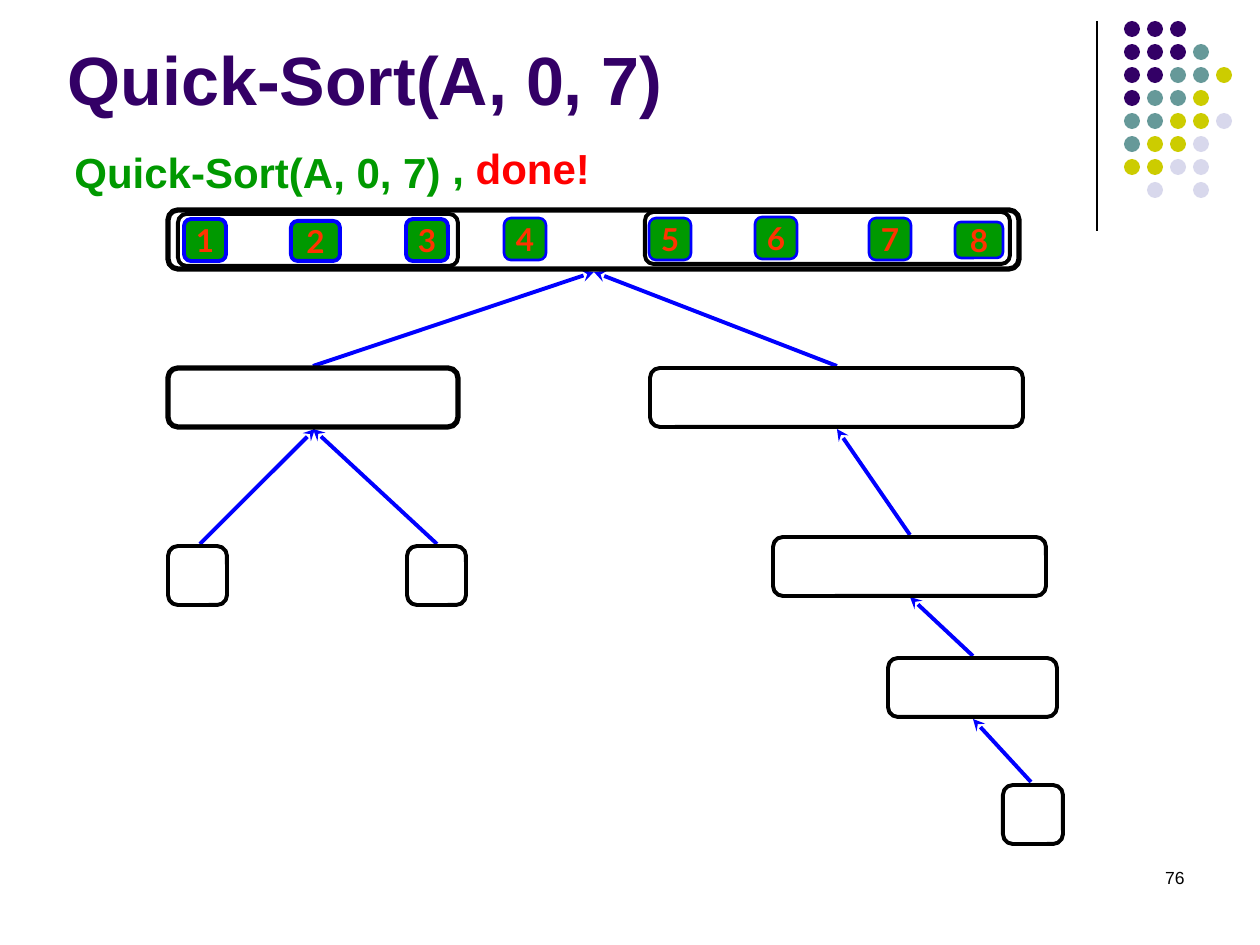
from lxml.etree import SubElement
from pptx import Presentation
from pptx.dml.color import RGBColor
from pptx.enum.shapes import MSO_CONNECTOR, MSO_SHAPE
from pptx.enum.text import MSO_ANCHOR, MSO_AUTO_SIZE, PP_ALIGN
from pptx.oxml.ns import qn
from pptx.util import Emu, Pt

PX = 914400 / 126  # EMU per pixel
COLORS = {
    "purple": "330066", "teal": "669999", "olive": "CCCC00", "lilac": "D8D8EC",
    "black": "000000", "white": "FFFFFF", "blue": "0000FF",
    "green": "009900", "red": "FF0000", "orange": "FF3300",
}
DOT_COLORS = {"P": "purple", "T": "teal", "Y": "olive", "L": "lilac"}
DOT_ROWS = ["PPP", "PPPT", "PPTTY", "PTTY", "TTYYL", "TYYL", "YYLL", " L L"]
ARRAY_TOP, BOX_HEIGHT = 210, 59

# Tree nodes: left, top, width, line width
NODES = [
    (168, ARRAY_TOP, 851, 3),
    (168, 368, 290, 3),
    (650, 368, 373, 2.25),
    (168, 546, 59, 2.25),
    (407, 546, 59, 2.25),
    (773, 537, 273, 2.25),
    (888, 658, 169, 2.25),
    (1003, 785, 60, 2.25),
]
# Sorted halves inside the array: left, top, width, height
HALVES = [(178, 214, 280, 52), (645, 212, 365, 52)]
# Arrows from child to parent: x, y, x, y
ARROWS = [
    (200, 544, 315, 429), (437, 544, 313, 429),
    (313, 366, 594, 272), (837, 366, 594, 272),
    (910, 535, 837, 429), (973, 656, 910, 597), (1031, 782, 973, 719),
]
# Sorted keys: left, top, width, height, line width
KEYS = [
    (184, 219, 42, 42, 2.25), (291, 221, 49, 40, 2.25), (406, 219, 42, 42, 2.25),
    (504, 218, 42, 42, 1.5), (649, 218, 42, 42, 1.5), (755, 217, 42, 42, 1.5),
    (869, 218, 42, 42, 1.5), (955, 222, 48, 36, 1.5),
]


def px(*lengths):
    return [Emu(round(length * PX)) for length in lengths]


def color(name):
    return RGBColor.from_string(COLORS[name])


def write_text(shape, runs, size, font="Arial", bold=True, align=PP_ALIGN.LEFT,
               anchor=MSO_ANCHOR.TOP, wrap=True):
    """Fill a shape with one paragraph of (text, color) runs."""
    frame = shape.text_frame
    frame.auto_size = MSO_AUTO_SIZE.NONE
    frame.word_wrap = wrap
    frame.vertical_anchor = anchor
    paragraph = frame.paragraphs[0]
    paragraph.alignment = align
    for text, color_name in runs:
        run = paragraph.add_run()
        run.text = text
        run.font.name, run.font.size, run.font.bold = font, Pt(size), bold
        run.font.color.rgb = color(color_name)


def add_text(slide, box, runs, **formats):
    shape = slide.shapes.add_textbox(*px(*box))
    write_text(shape, runs, **formats)
    return shape


def add_box(slide, box, kind=MSO_SHAPE.ROUNDED_RECTANGLE, fill=None, line=None, width=2.25):
    shape = slide.shapes.add_shape(kind, *px(*box))
    shape.shadow.inherit = False
    if fill:
        shape.fill.solid()
        shape.fill.fore_color.rgb = color(fill)
    else:
        shape.fill.background()
    if line:
        shape.line.color.rgb = color(line)
        shape.line.width = Pt(width)
    else:
        shape.line.fill.background()
    return shape


def add_line(slide, ends, line, width, arrow=False):
    connector = slide.shapes.add_connector(MSO_CONNECTOR.STRAIGHT, *px(*ends))
    connector.line.color.rgb = color(line)
    connector.line.width = Pt(width)
    properties = connector.line._get_or_add_ln()
    if arrow:
        SubElement(properties, qn("a:tailEnd"), type="stealth", w="med", len="med")
    SubElement(connector._element.spPr, qn("a:effectLst"))


def add_decoration(slide):
    add_line(slide, (1097, 21, 1097, 231), "black", 0.75)
    for row, letters in enumerate(DOT_ROWS):
        for column, letter in enumerate(letters):
            if letter in DOT_COLORS:
                add_box(slide, (1124 + 23 * column, 21 + 23 * row, 16, 16),
                        MSO_SHAPE.OVAL, fill=DOT_COLORS[letter])


def add_headings(slide):
    title = slide.shapes.title
    title.left, title.top, title.width, title.height = px(55, 44, 1040, 81)
    write_text(title, [("Quick-Sort(A, 0, 7)", "purple")], size=39,
               anchor=MSO_ANCHOR.BOTTOM)
    add_text(slide, (62, 140, 422, 63), [("Quick-Sort(A, 0, 7)", "green")], size=24)
    add_text(slide, (440, 136, 307, 63), [(", ", "green"), ("done!", "red")], size=24)


def add_tree(slide):
    for arrow in ARROWS:
        add_line(slide, arrow, "blue", 2.25, arrow=True)
    for left, top, node_width, line_width in NODES:
        add_box(slide, (left, top, node_width, BOX_HEIGHT), line="black", width=line_width)
    for half in HALVES:
        add_box(slide, half, line="black")


def add_keys(slide):
    for number, (*box, line_width) in enumerate(KEYS, start=1):
        key = add_box(slide, box, fill="green", line="blue", width=line_width)
        write_text(key, [(str(number), "orange")], size=18, font="Lato",
                   align=PP_ALIGN.CENTER, anchor=MSO_ANCHOR.MIDDLE, wrap=False)


def main():
    presentation = Presentation()
    presentation.slide_width, presentation.slide_height = px(1260, 945)
    slide = presentation.slides.add_slide(presentation.slide_layouts[5])  # Title Only
    add_decoration(slide)
    add_headings(slide)
    add_tree(slide)
    add_keys(slide)
    # Slide number
    add_text(slide, (903, 861, 294, 63), [("76", "black")], size=10, bold=False,
             align=PP_ALIGN.RIGHT)
    presentation.save("out.pptx")


if __name__ == "__main__":
    main()
